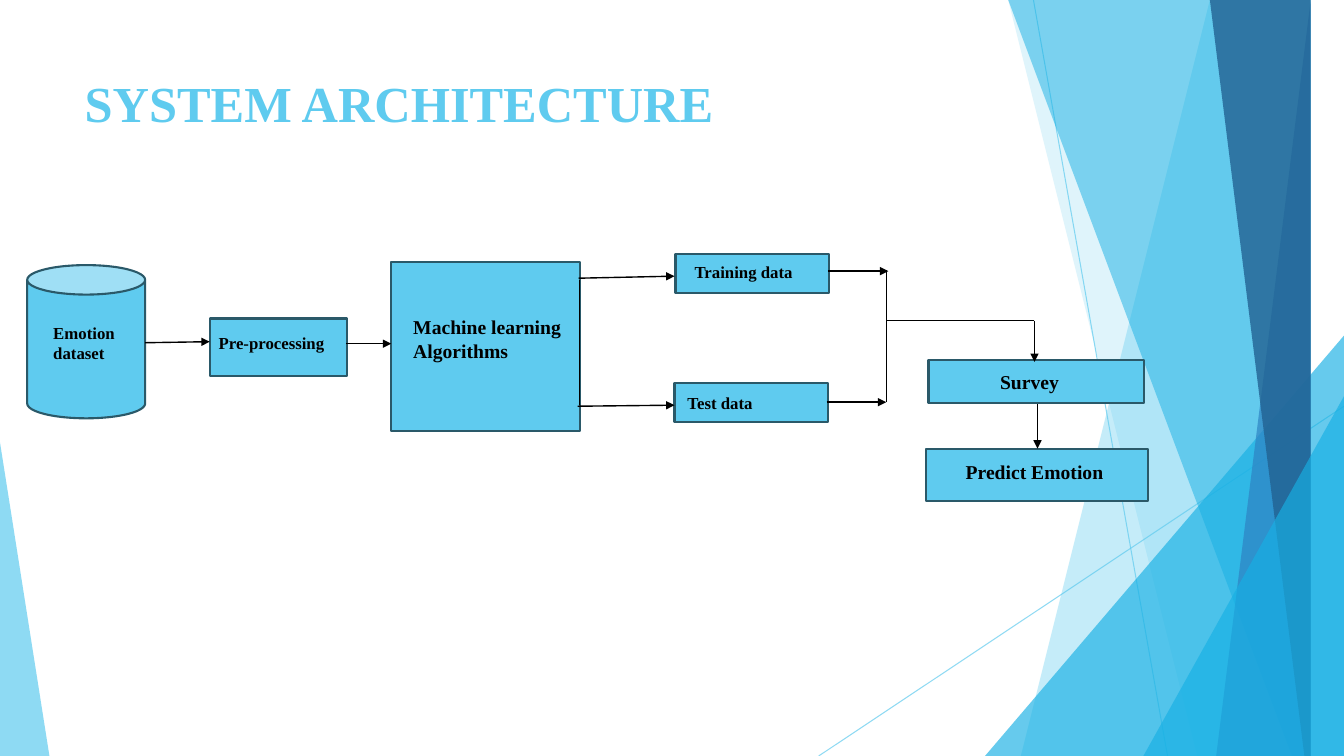
from pptx import Presentation
from pptx.dml.color import RGBColor
from pptx.enum.shapes import MSO_CONNECTOR as Connector, MSO_SHAPE as Shape
from pptx.enum.text import MSO_ANCHOR as Anchor, MSO_AUTO_SIZE as AutoSize, PP_ALIGN as Align
from pptx.oxml.xmlchemy import OxmlElement
from pptx.util import Inches, Pt

SKY = RGBColor(0x5F, 0xCB, 0xEF)
CYAN = RGBColor(0x17, 0xB0, 0xE4)
BLUE = RGBColor(0x2E, 0x83, 0xC3)
NAVY = RGBColor(0x22, 0x62, 0x92)
OUTLINE = RGBColor(0x2A, 0x59, 0x69)
BLACK = RGBColor(0, 0, 0)

WIDTH, HEIGHT = 13.33, 7.5


def write(frame, text, size=12, color=BLACK, bold=True, font="Times New Roman",
          align=Align.LEFT, anchor=Anchor.TOP, fit=AutoSize.SHAPE_TO_FIT_TEXT):
    frame.word_wrap = True
    frame.auto_size = fit
    frame.vertical_anchor = anchor
    paragraph = frame.paragraphs[0]
    paragraph.alignment = align
    run = paragraph.add_run()
    run.text = text
    run.font.name = font
    run.font.size = Pt(size)
    run.font.bold = bold
    run.font.color.rgb = color


def set_opacity(shape, percent):
    """Apply one opacity to every colour of the shape's fill and line."""
    for color in shape.element.xpath("./p:spPr//a:srgbClr"):
        alpha = OxmlElement("a:alpha")
        alpha.set("val", str(percent * 1000))
        color.append(alpha)


class DiagramSlide:
    """The current slide and the style of its flow diagram."""

    fill = SKY
    outline = OUTLINE

    def __init__(self, presentation):
        self.slide = presentation.slides.add_slide(presentation.slide_layouts[5])
        self.shapes = self.slide.shapes

    def title(self, text, left, top, width, height):
        heading = self.shapes.title
        heading.left, heading.top = Inches(left), Inches(top)
        heading.width, heading.height = Inches(width), Inches(height)
        write(heading.text_frame, text, size=36, color=SKY, fit=AutoSize.NONE)
        # Bring the title in front of the decoration
        heading.element.getparent().append(heading.element)

    def facet(self, corners, color, opacity):
        """Draw a translucent polygon without an outline."""
        builder = self.shapes.build_freeform(*corners[0], scale=Inches(1))
        builder.add_line_segments(corners[1:], close=True)
        self.decorate(builder.convert_to_shape(), color, opacity)

    def corner(self, left, top, width, apex, color, opacity):
        """Draw a translucent triangle that stands on the slide's bottom edge."""
        triangle = self.shapes.add_shape(Shape.ISOSCELES_TRIANGLE, Inches(left), Inches(top),
                                         Inches(width), Inches(HEIGHT - top))
        triangle.adjustments[0] = apex
        self.decorate(triangle, color, opacity)

    def decorate(self, shape, color, opacity):
        shape.shadow.inherit = False
        shape.fill.solid()
        shape.fill.fore_color.rgb = color
        shape.line.fill.background()
        set_opacity(shape, opacity)

    def node(self, left, top, width, height, kind=Shape.RECTANGLE):
        box = self.shapes.add_shape(kind, Inches(left), Inches(top),
                                    Inches(width), Inches(height))
        box.shadow.inherit = False
        box.fill.solid()
        box.fill.fore_color.rgb = self.fill
        box.line.color.rgb = self.outline
        box.line.width = Pt(1.5)

    def label(self, text, left, top, width, height, size=12):
        box = self.shapes.add_textbox(Inches(left), Inches(top), Inches(width), Inches(height))
        write(box.text_frame, text, size=size)

    def line(self, start, end, arrow=False, color=BLACK, weight=1):
        link = self.shapes.add_connector(Connector.STRAIGHT, *map(Inches, start + end))
        link.line.color.rgb = color
        link.line.width = Pt(weight)
        if arrow:
            head = OxmlElement("a:tailEnd")
            head.set("type", "triangle")
            link.element.xpath("./p:spPr/a:ln")[0].append(head)
        link.element.spPr.append(OxmlElement("a:effectLst"))
        return link


def draw_decoration(page):
    for start, end in [((10.25, 0), (11.58, HEIGHT)), ((WIDTH, 4.03), (8.12, HEIGHT))]:
        set_opacity(page.line(start, end, color=SKY, weight=0.75), 70)

    def band(top_left, bottom_left, color, opacity):
        """Fill from a slanted left side to the slide's right edge."""
        page.facet([(top_left, 0), (WIDTH, 0), (WIDTH, HEIGHT), (bottom_left, HEIGHT)],
                   color, opacity)

    band(12.28, 10.04, SKY, 36)
    band(10.5, 11.83, SKY, 20)
    page.corner(9.77, 3.33, 3.56, 1, CYAN, 66)
    band(10.21, 12.91, CYAN, 50)
    band(13.03, 11.92, BLUE, 70)
    band(11.96, 13.18, NAVY, 80)
    page.corner(11.34, 3.93, 1.99, 1, CYAN, 66)
    page.corner(0, 4.39, 0.49, 0, SKY, 70)


def draw_flow(page):
    page.node(0.27, 2.63, 1.17, 1.52, Shape.CAN)
    for box in [
        (2.08, 3.16, 1.36, 0.57),
        (3.88, 2.6, 1.87, 1.68),
        (6.7, 2.52, 1.52, 0.39),
        (6.69, 3.8, 1.52, 0.39),
        (9.21, 3.57, 2.14, 0.43),
        (9.18, 4.45, 2.21, 0.52),
    ]:
        page.node(*box)

    for start, end in [
        ((1.44, 3.4), (2.08, 3.39)),
        ((3.43, 3.41), (3.88, 3.41)),
        ((5.74, 2.76), (6.69, 2.74)),
        ((5.73, 4.03), (6.69, 4.02)),
        ((8.21, 2.69), (8.81, 2.69)),
        ((8.2, 3.99), (8.79, 3.99)),
        ((10.26, 3.18), (10.26, 3.59)),
        ((10.29, 4.01), (10.29, 4.45)),
    ]:
        page.line(start, end, arrow=True)
    for start, end in [
        ((5.75, 2.78), (5.75, 4.02)),
        ((8.79, 2.68), (8.79, 3.99)),
        ((8.79, 3.18), (10.26, 3.18)),
    ]:
        page.line(start, end)

    page.label("Emotion dataset", 0.43, 3.15, 1.13, 0.5)
    page.label("Pre-processing", 2.07, 3.25, 1.35, 0.3)
    page.label("Machine learning Algorithms", 4, 3.08, 1.68, 0.57, size=14)
    page.label("Training data", 6.79, 2.55, 1.51, 0.3)
    page.label("Test data", 6.72, 3.85, 1.45, 0.3)
    page.label("Survey", 9.82, 3.62, 1.89, 0.34, size=14)
    page.label("Predict Emotion", 9.48, 4.51, 1.87, 0.34, size=14)


def main():
    presentation = Presentation()
    presentation.slide_width, presentation.slide_height = Inches(WIDTH), Inches(HEIGHT)
    page = DiagramSlide(presentation)
    draw_decoration(page)
    page.title("SYSTEM ARCHITECTURE", 0.74, 0.67, 9.4, 1.44)
    draw_flow(page)
    presentation.save("out.pptx")


if __name__ == "__main__":
    main()
